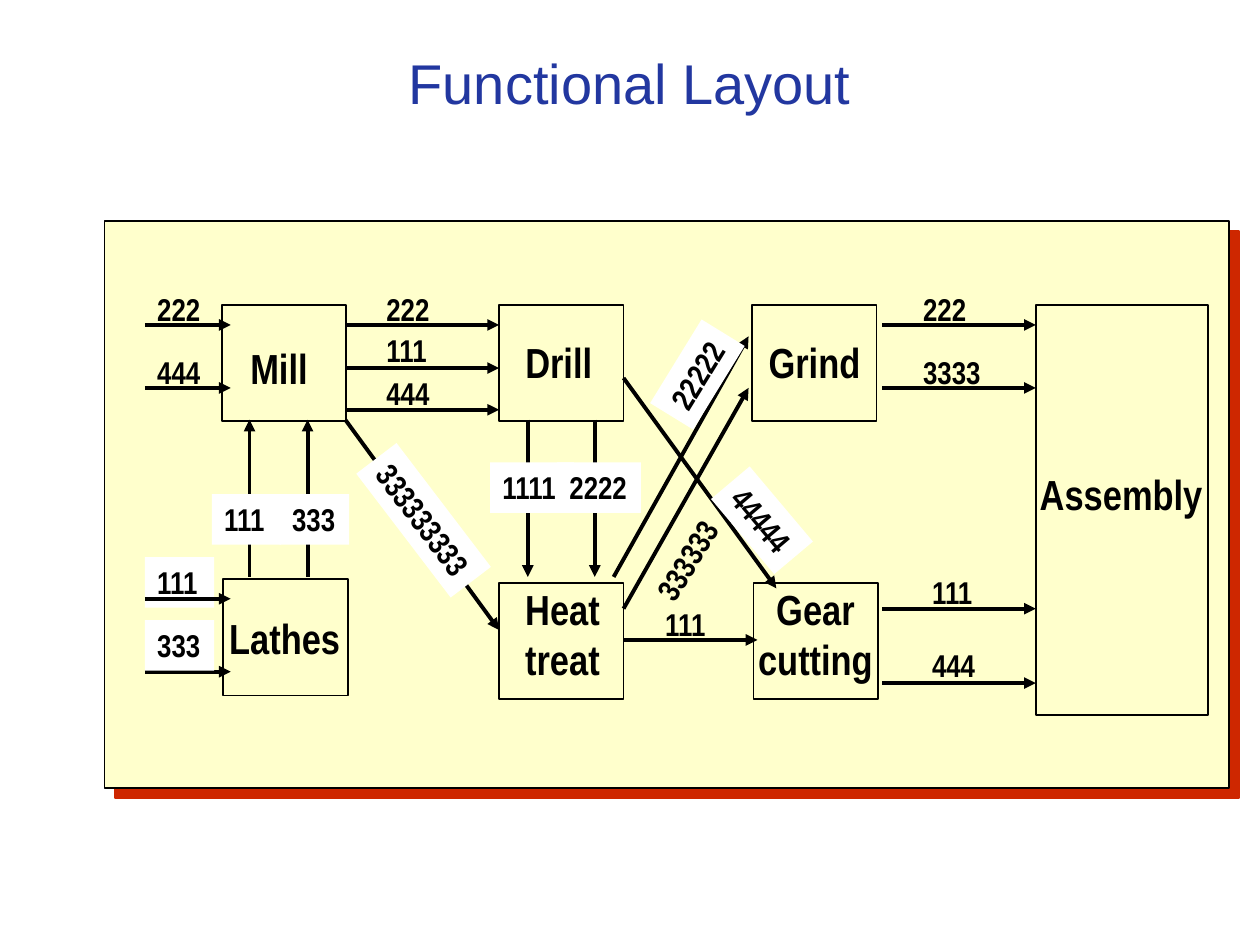
from dataclasses import dataclass

from lxml import etree
from pptx import Presentation
from pptx.dml.color import RGBColor
from pptx.enum.shapes import MSO_CONNECTOR, MSO_SHAPE
from pptx.enum.text import MSO_ANCHOR, MSO_AUTO_SIZE, PP_ALIGN
from pptx.oxml.ns import qn
from pptx.util import Cm, Pt

RECTANGLE = MSO_SHAPE.RECTANGLE
STRAIGHT = MSO_CONNECTOR.STRAIGHT
BOTTOM, TOP = MSO_ANCHOR.BOTTOM, MSO_ANCHOR.TOP
LEFT, CENTER = PP_ALIGN.LEFT, PP_ALIGN.CENTER
NO_FIT, GROW = MSO_AUTO_SIZE.NONE, MSO_AUTO_SIZE.SHAPE_TO_FIT_TEXT

COLORS = {
    "title": "2237A0",
    "panel": "FFFFCC",
    "shadow": "CE2700",
    "ink": "000000",
    "label": "FFFFFF",
}
BOX_WIDTH, BOX_HEIGHT = 2.51, 2.34
NAME_LINE_HEIGHT, NAME_PADDING = 1.02, 0.25
LABEL_HEIGHT, LABEL_PADDING, DIGIT_WIDTH = 1.02, 0.53, 0.29


# All positions and sizes below are in centimetres
@dataclass(frozen=True)
class Station:
    name: str
    left: float
    top: float
    name_left: float
    name_top: float
    name_width: float
    width: float = BOX_WIDTH
    height: float = BOX_HEIGHT


@dataclass(frozen=True)
class Flow:
    start: tuple[float, float]
    end: tuple[float, float]


@dataclass(frozen=True)
class Label:
    text: str
    left: float
    top: float
    filled: bool = False
    rotation: float = 0


STATIONS = [
    Station("Mill", 4.47, 6.15, 4.75, 6.78, 1.75),
    Station("Drill", 10.06, 6.15, 10.29, 6.65, 1.95),
    Station("Grind", 15.16, 6.15, 15.19, 6.65, 2.46),
    Station("Lathes", 4.5, 11.68, 4.34, 12.22, 2.8),
    Station("Heat\ntreat", 10.06, 11.76, 10.29, 11.63, 2.1),
    Station("Gear\ncutting", 15.19, 11.76, 14.99, 11.63, 2.9),
    Station("Assembly", 20.88, 6.15, 20.68, 9.32, 3.84, 3.48, 8.26),
]

# Horizontal flows: start, end and the heights they share
HORIZONTAL_FLOWS = [
    (2.92, 4.65, (6.55, 7.82, 12.07, 13.54)),
    (6.96, 10.06, (6.55, 7.42, 8.26)),
    (12.57, 15.27, (12.9,)),
    (17.78, 20.88, (6.55, 7.82, 12.27, 13.77)),
]
UPPER_EDGE, LOWER_EDGE = 8.46, 11.63
FLOWS = [
    Flow((start, y), (end, y)) for start, end, heights in HORIZONTAL_FLOWS for y in heights
]
FLOWS += [Flow((x, LOWER_EDGE), (x, UPPER_EDGE)) for x in (5.03, 6.2)]
FLOWS += [Flow((x, UPPER_EDGE), (x, LOWER_EDGE)) for x in (10.64, 11.99)]
FLOWS += [
    Flow((6.96, 8.46), (10.06, 12.7)),
    Flow((12.37, 11.63), (15.09, 6.78)),
    Flow((12.57, 12.27), (15.09, 7.82)),
    Flow((12.57, 7.62), (15.65, 11.86)),
]

LABEL_BEHIND_FLOW = Label("111", 2.92, 11.23, filled=True)
LABELS = [
    Label("333", 2.92, 12.5, filled=True),
    Label("222", 2.92, 5.72),
    Label("444", 2.92, 6.99),
    Label("222", 7.54, 5.72),
    Label("111", 7.54, 6.55),
    Label("444", 7.54, 7.42),
    Label("111", 4.27, 9.96, filled=True),
    Label("333", 5.64, 9.96, filled=True),
    Label("1111", 9.88, 9.32, filled=True),
    Label("2222", 11.23, 9.32, filled=True),
    Label("222", 18.36, 5.72),
    Label("3333", 18.36, 6.99),
    Label("111", 18.54, 11.43),
    Label("444", 18.54, 12.9),
    Label("111", 13.16, 12.07),
    Label("333333333", 6.97, 9.98, filled=True, rotation=52.7),
    Label("44444", 14.37, 9.98, filled=True, rotation=49.9),
    Label("333333", 12.72, 10.77, rotation=301.7),
    Label("22222", 13.07, 7.04, filled=True, rotation=301.6),
]


def color(name: str) -> RGBColor:
    return RGBColor.from_string(COLORS[name])


def write_text(shape, text: str, *, size: float, font: str = "Arial Narrow", ink: str = "ink",
               bold: bool = True, align=LEFT, anchor=TOP, wrap: bool = False, fit=GROW) -> None:
    frame = shape.text_frame
    frame.text = text
    frame.word_wrap = wrap
    frame.auto_size = fit
    frame.vertical_anchor = anchor
    for paragraph in frame.paragraphs:
        paragraph.alignment = align
        paragraph.font.name = font
        paragraph.font.size = Pt(size)
        paragraph.font.bold = bold
        paragraph.font.color.rgb = color(ink)


def add_box(slide, left: float, top: float, width: float, height: float, fill: str = ""):
    shape = slide.shapes.add_shape(RECTANGLE, Cm(left), Cm(top), Cm(width), Cm(height))
    shape.shadow.inherit = False
    if fill:
        shape.fill.solid()
        shape.fill.fore_color.rgb = color(fill)
    else:
        shape.fill.background()
    shape.line.color.rgb = color("ink")
    shape.line.width = Pt(1)
    return shape


def add_hard_shadow(shape, distance: float) -> None:
    effects = shape._element.spPr.find(qn("a:effectLst"))
    shadow = etree.SubElement(effects, qn("a:outerShdw"), dist=str(Pt(distance)),
                              dir=str(45 * 60000), algn="ctr", rotWithShape="0")
    etree.SubElement(shadow, qn("a:srgbClr"), val=COLORS["shadow"])


def add_station(slide, station: Station) -> None:
    height = NAME_PADDING + NAME_LINE_HEIGHT * len(station.name.split("\n"))
    name_box = slide.shapes.add_textbox(Cm(station.name_left), Cm(station.name_top),
                                        Cm(station.name_width), Cm(height))
    write_text(name_box, station.name, size=24, align=CENTER)
    add_box(slide, station.left, station.top, station.width, station.height)


def add_flow(slide, flow: Flow) -> None:
    points = [Cm(value) for value in flow.start + flow.end]
    connector = slide.shapes.add_connector(STRAIGHT, *points)
    connector.line.color.rgb = color("ink")
    connector.line.width = Pt(2.25)
    etree.SubElement(connector.line._get_or_add_ln(), qn("a:tailEnd"), type="triangle")
    etree.SubElement(connector._element.spPr, qn("a:effectLst"))


def add_label(slide, label: Label) -> None:
    width = LABEL_PADDING + DIGIT_WIDTH * len(label.text)
    box = slide.shapes.add_textbox(Cm(label.left), Cm(label.top), Cm(width), Cm(LABEL_HEIGHT))
    box.rotation = label.rotation
    if label.filled:
        box.fill.solid()
        box.fill.fore_color.rgb = color("label")
    write_text(box, label.text, size=18)


def main() -> None:
    presentation = Presentation()
    presentation.slide_width, presentation.slide_height = Cm(25.4), Cm(19.05)
    slide = presentation.slides.add_slide(presentation.slide_layouts[5])

    # Title
    title = slide.shapes.title
    title.left, title.top, title.width, title.height = Cm(0), Cm(0.91), Cm(25.4), Cm(1.55)
    write_text(title, "Functional Layout", size=32, font="Arial", ink="title", bold=False,
               align=CENTER, anchor=BOTTOM, wrap=True, fit=NO_FIT)

    # Panel, stations, flows and their labels
    panel = add_box(slide, 2.11, 4.45, 22.66, 11.43, fill="panel")
    add_hard_shadow(panel, 8.5)
    for station in STATIONS:
        add_station(slide, station)
    add_label(slide, LABEL_BEHIND_FLOW)
    for flow in FLOWS:
        add_flow(slide, flow)
    for label in LABELS:
        add_label(slide, label)

    presentation.save("out.pptx")


if __name__ == "__main__":
    main()
